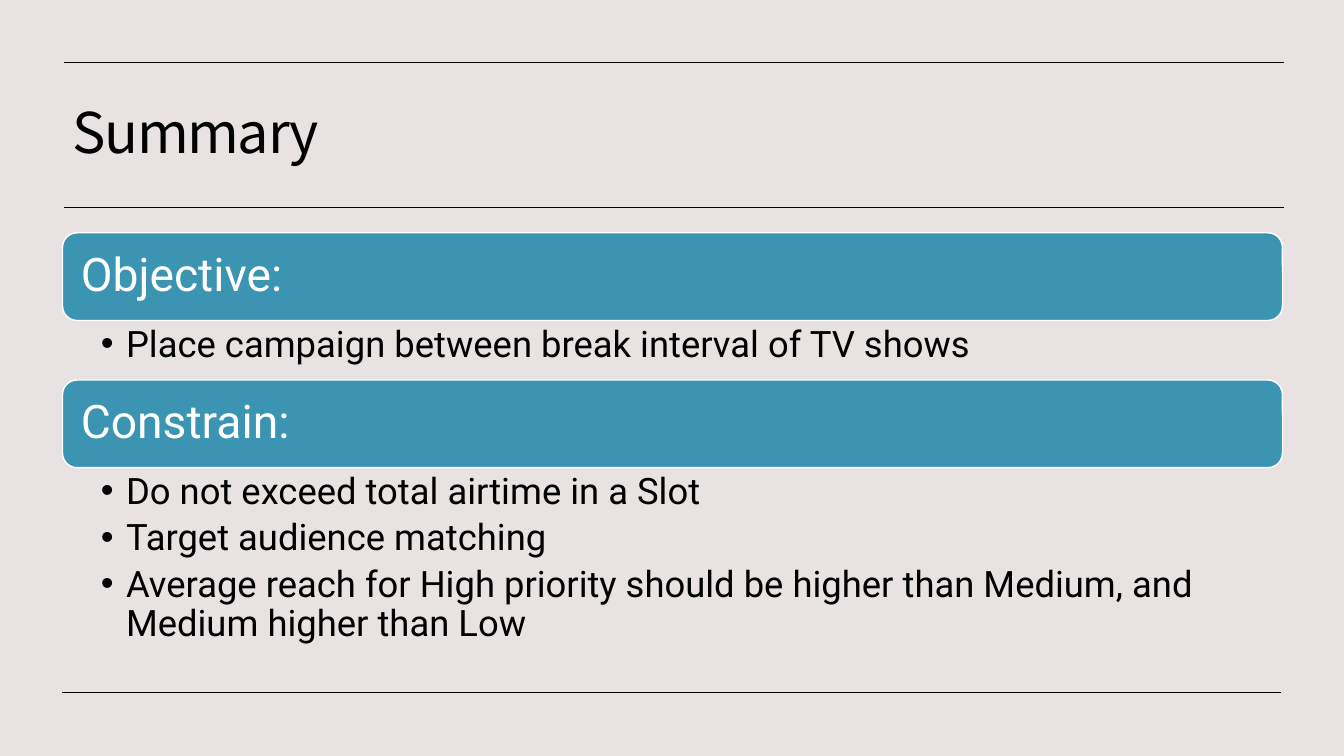
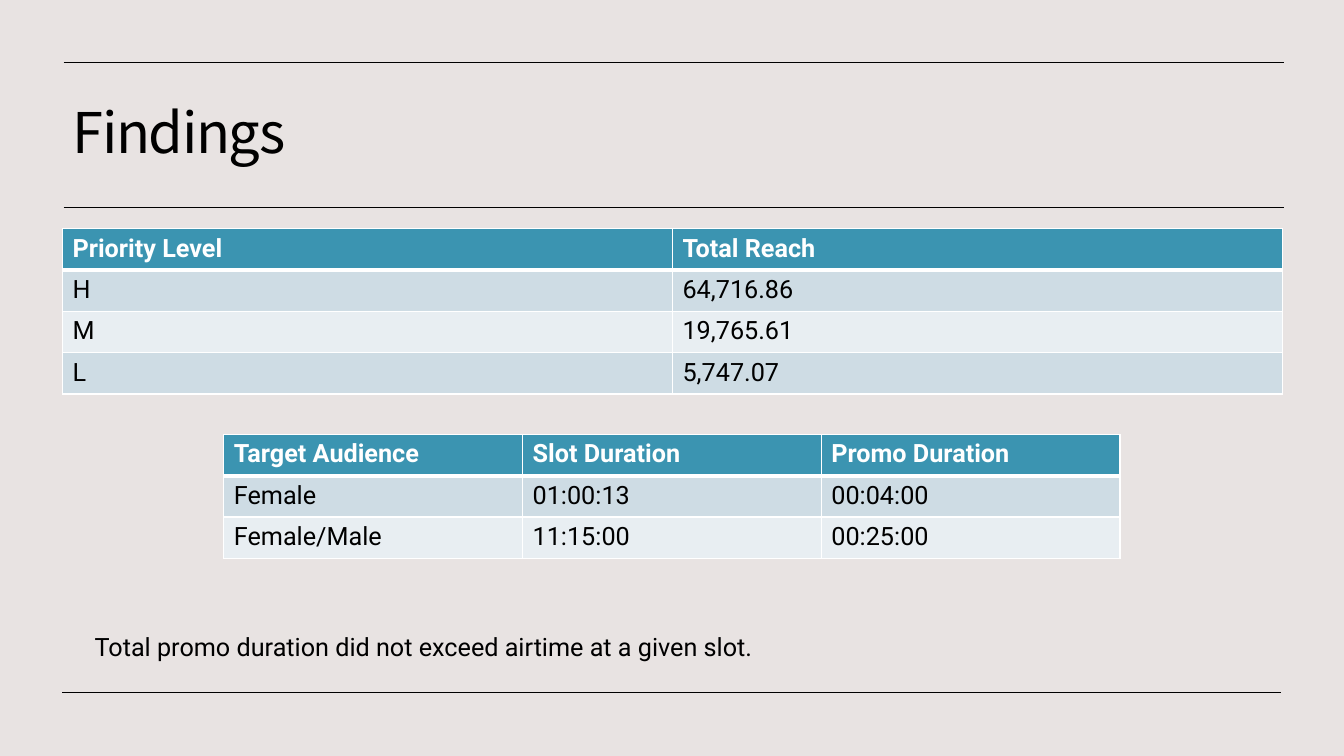
from pptx import Presentation
from pptx.dml.color import RGBColor
from pptx.enum.shapes import MSO_CONNECTOR, MSO_SHAPE
from pptx.enum.text import MSO_ANCHOR, MSO_AUTO_SIZE, PP_ALIGN
from pptx.oxml.ns import qn
from pptx.util import Inches, Pt
from lxml.etree import SubElement

# Content
GROUPS = [
    ("Objective:", 0.59, ["Place campaign between break interval of TV shows"]),
    ("Constrain:", 1.87, [
        "Do not exceed total airtime in a Slot",
        "Target audience matching",
        "Average reach for High priority should be higher than Medium, "
        "and Medium higher than Low",
    ]),
]
TABLES = [
    (0.62, 2.27, 12.1, [
        ("Priority Level", "Total Reach"),
        ("H", "64,716.86"),
        ("M", "19,765.61"),
        ("L", "5,747.07"),
    ]),
    (2.22, 4.31, 8.89, [
        ("Target Audience", "Slot Duration", "Promo Duration"),
        ("Female", "01:00:13", "00:04:00"),
        ("Female/Male", "11:15:00", "00:25:00"),
    ]),
]
NOTE = "Total promo duration did not exceed airtime at a given slot."

# Shared look
PAPER, INK, WHITE, TEAL = "E8E3E2", "000000", "FFFFFF", "3B94B1"
BANDS = ["E8EEF2", "CEDCE4"]
HEAD, BODY = "Noto Sans CJK KR", "Roboto"
LEFT, WIDE = 0.62, 12.1
RULES = [(0.63, 12.73, 0.62), (0.63, 12.73, 2.06), (0.62, 12.71, 6.87)]
ROW = 0.41


def color(code):
    return RGBColor.from_string(code)


def paint(fill, code):
    fill.solid()
    fill.fore_color.rgb = color(code)


def place(shape, x, y, w, h):
    shape.left, shape.top = Inches(x), Inches(y)
    shape.width, shape.height = Inches(w), Inches(h)


def write(para, text, size, code=INK, font=BODY, bold=False):
    run = para.add_run()
    run.text = text
    run.font.name, run.font.size, run.font.bold = font, Pt(size), bold
    run.font.color.rgb = color(code)
    return run


def inset(frame, left, top, right, bottom):
    frame.margin_left, frame.margin_top = Inches(left), Inches(top)
    frame.margin_right, frame.margin_bottom = Inches(right), Inches(bottom)


def start(deck, layout, text):
    """Add a slide with its rules and title."""
    slide = deck.slides.add_slide(deck.slide_layouts.get_by_name(layout))
    for x1, x2, y in RULES:
        rule = slide.shapes.add_connector(
            MSO_CONNECTOR.STRAIGHT, Inches(x1), Inches(y), Inches(x2), Inches(y))
        rule.line.color.rgb, rule.line.width = color(INK), Pt(0.5)
        SubElement(rule._element.spPr, qn("a:effectLst"))
    title = slide.shapes.title
    place(title, LEFT, 0.75, 12.08, 1.19)
    frame = title.text_frame
    frame.auto_size, frame.vertical_anchor = MSO_AUTO_SIZE.NONE, MSO_ANCHOR.MIDDLE
    para = frame.paragraphs[0]
    para.alignment, para.line_spacing = PP_ALIGN.LEFT, 0.9
    run = write(para, text, 40, font=HEAD)
    run.font._element.set("spc", "-100")
    return slide


def add_bar(slide, y, h, text):
    bar = slide.shapes.add_shape(
        MSO_SHAPE.ROUNDED_RECTANGLE, Inches(LEFT), Inches(y), Inches(WIDE), Inches(h))
    bar.shadow.inherit = False
    paint(bar.fill, TEAL)
    bar.line.color.rgb, bar.line.width = color(WHITE), Pt(1)
    frame = bar.text_frame
    frame.word_wrap, frame.vertical_anchor = True, MSO_ANCHOR.MIDDLE
    inset(frame, 0.14, 0.14, 0.14, 0.14)
    para = frame.paragraphs[0]
    para.alignment, para.line_spacing = PP_ALIGN.LEFT, 0.9
    write(para, text, 33, WHITE)


def fill_list(body, y, h, items):
    place(body, LEFT, y, WIDE, h)
    frame = body.text_frame
    frame.auto_size, frame.vertical_anchor = MSO_AUTO_SIZE.NONE, MSO_ANCHOR.TOP
    inset(frame, 0.38, 0.05, 0.26, 0.05)
    for i, item in enumerate(items):
        para = frame.add_paragraph() if i else frame.paragraphs[0]
        para.line_spacing, para.space_before, para.space_after = 0.9, Pt(0), Pt(5.2)
        props = para._p.get_or_add_pPr()
        props.set("marL", str(Inches(0.25)))
        props.set("indent", str(-Inches(0.25)))
        SubElement(props, qn("a:buFont"), typeface="Arial")
        SubElement(props, qn("a:buChar"), char="•")
        write(para, item, 26)


def edge(cell, row):
    """White borders, thick between the header and the first row."""
    thick = {0: "lnB", 1: "lnT"}.get(row)
    props = cell._tc.get_or_add_tcPr()
    for side in ("lnL", "lnR", "lnT", "lnB"):
        line = SubElement(props, qn("a:" + side), w=str(Pt(3 if side == thick else 1)))
        SubElement(SubElement(line, qn("a:solidFill")), qn("a:srgbClr"), val=WHITE)


def add_grid(slide, x, y, w, rows):
    cols = len(rows[0])
    grid = slide.shapes.add_table(
        len(rows), cols, Inches(x), Inches(y), Inches(w), Inches(ROW * len(rows))).table
    for col in grid.columns:
        col.width = Inches(w / cols)
    for r, row in enumerate(rows):
        for c, text in enumerate(row):
            cell = grid.cell(r, c)
            edge(cell, r)
            paint(cell.fill, BANDS[r % 2] if r else TEAL)
            write(cell.text_frame.paragraphs[0], text, 18,
                  INK if r else WHITE, bold=r == 0)


def main():
    deck = Presentation()
    deck.slide_width, deck.slide_height = Inches(13.33), Inches(7.5)
    paint(deck.slide_master.background.fill, PAPER)

    # Summary: a bar above each list
    slide = start(deck, "Two Content", "Summary")
    bodies = list(slide.placeholders)[1:]
    y, bar = 2.31, 0.87
    for body, (head, h, items) in zip(bodies, GROUPS):
        add_bar(slide, y, bar, head)
        fill_list(body, y + bar, h, items)
        y += bar + h

    # Findings: two tables and a note
    slide = start(deck, "Title Only", "Findings")
    for spec_row in TABLES:
        add_grid(slide, *spec_row)
    note = slide.shapes.add_textbox(
        Inches(0.84), Inches(6.21), Inches(6.87), Inches(0.4))
    note.text_frame.word_wrap = False
    write(note.text_frame.paragraphs[0], NOTE, 18)

    deck.save("out.pptx")


if __name__ == "__main__":
    main()
